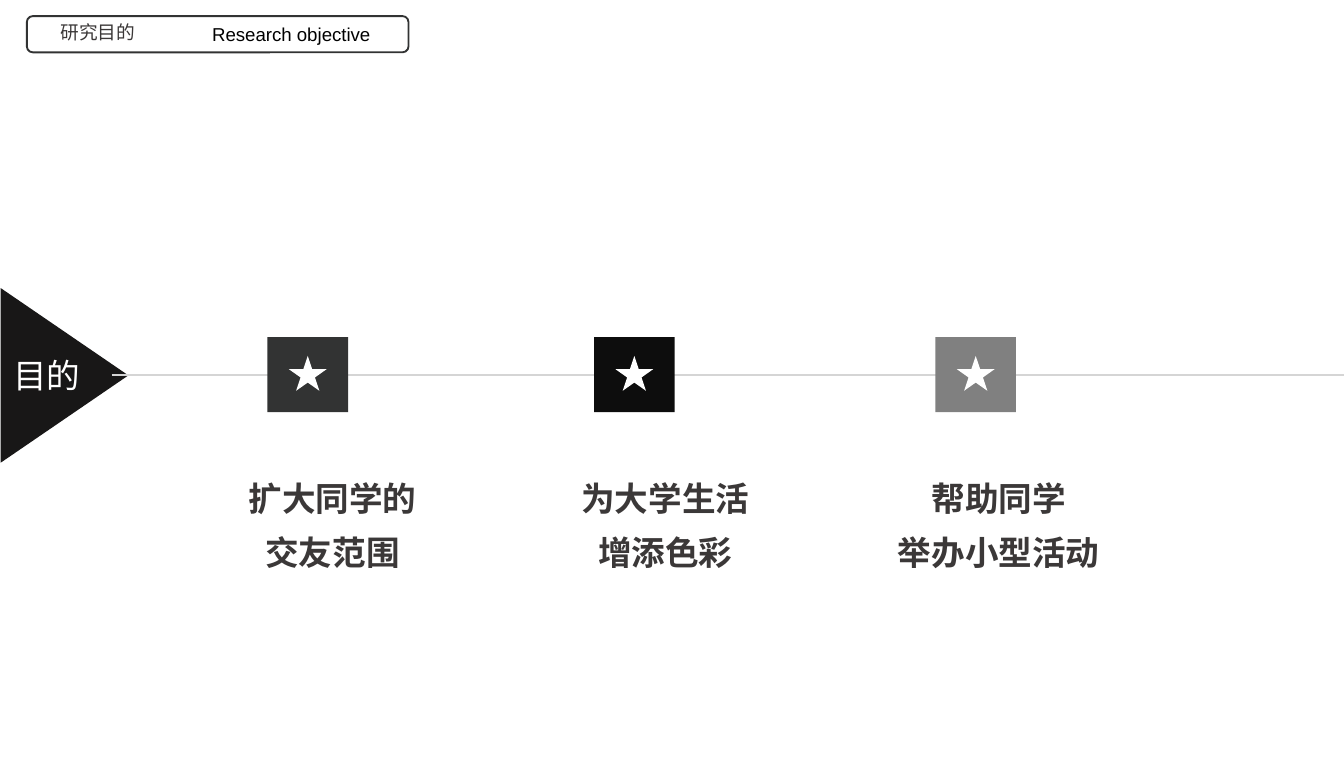
from lxml import etree
from pptx import Presentation
from pptx.dml.color import RGBColor
from pptx.enum.shapes import MSO_CONNECTOR, MSO_SHAPE
from pptx.enum.text import MSO_ANCHOR, PP_ALIGN
from pptx.oxml.ns import qn
from pptx.util import Inches, Pt

STRAIGHT = MSO_CONNECTOR.STRAIGHT
TRIANGLE = MSO_SHAPE.ISOSCELES_TRIANGLE
RECTANGLE = MSO_SHAPE.RECTANGLE
ROUNDED = MSO_SHAPE.ROUNDED_RECTANGLE
STAR = MSO_SHAPE.STAR_5_POINT
CENTER = PP_ALIGN.CENTER
LEFT = PP_ALIGN.LEFT
BOTTOM = MSO_ANCHOR.BOTTOM

BLACK = RGBColor(0x00, 0x00, 0x00)
NEAR_BLACK = RGBColor(0x0D, 0x0D, 0x0D)
ARROW_BLACK = RGBColor(0x18, 0x17, 0x17)
CHARCOAL = RGBColor(0x32, 0x33, 0x33)
TEXT_GRAY = RGBColor(0x3B, 0x38, 0x38)
GRAY = RGBColor(0x80, 0x80, 0x80)
LINE_GRAY = RGBColor(0xD5, 0xD5, 0xD5)
WHITE = RGBColor(0xFF, 0xFF, 0xFF)
CJK_FONT = "Noto Sans CJK SC"

presentation = Presentation()
presentation.slide_width = Inches(10)
presentation.slide_height = Inches(5.71)
slide = presentation.slides.add_slide(presentation.slide_layouts[6])


def add_filled_shape(kind, left, top, width, height, color):
    shape = slide.shapes.add_shape(
        kind, Inches(left), Inches(top), Inches(width), Inches(height))
    shape.shadow.inherit = False
    shape.fill.solid()
    shape.fill.fore_color.rgb = color
    shape.line.fill.background()
    return shape


def add_text(text, left, top, width, height, size, color,
             font=CJK_FONT, bold=False, align=LEFT):
    """Add a text box whose font also covers East Asian characters."""
    box = slide.shapes.add_textbox(
        Inches(left), Inches(top), Inches(width), Inches(height))
    text_frame = box.text_frame
    text_frame.word_wrap = False
    text_frame.text = text
    for paragraph in text_frame.paragraphs:
        paragraph.alignment = align
        for run in paragraph.runs:
            run.font.size = Pt(size)
            run.font.bold = bold
            run.font.color.rgb = color
            run.font.name = font
            east_asian = etree.SubElement(run.font._element, qn("a:ea"))
            east_asian.set("typeface", font)
    return text_frame


# Timeline
arrow = add_filled_shape(TRIANGLE, -0.17, 2.32, 1.3, 0.95, ARROW_BLACK)
arrow.rotation = 90
timeline = slide.shapes.add_connector(
    STRAIGHT, Inches(0.83), Inches(2.79), Inches(10), Inches(2.79))
timeline.line.color.rgb = LINE_GRAY
timeline.line.width = Pt(1)
etree.SubElement(timeline._element.spPr, qn("a:effectLst"))

# Objectives: marker left, marker color, label left, label width, label
objectives = [
    (1.99, CHARCOAL, 1.66, 1.63, "扩大同学的\n交友范围"),
    (4.42, NEAR_BLACK, 3.92, 2.06, "为大学生活\n增添色彩"),
    (6.96, GRAY, 6.59, 1.68, "帮助同学\n举办小型活动"),
]
for marker_left, color, label_left, label_width, label in objectives:
    add_filled_shape(RECTANGLE, marker_left, 2.51, 0.6, 0.56, color)
    add_filled_shape(STAR, marker_left + 0.16, 2.65, 0.28, 0.26, WHITE)
    text_frame = add_text(label, label_left, 3.5, label_width, 0.77, 18,
                          TEXT_GRAY, bold=True, align=CENTER)
    text_frame.word_wrap = True
    text_frame.margin_left = text_frame.margin_right = 0
    text_frame.margin_top = text_frame.margin_bottom = 0
    for paragraph in text_frame.paragraphs:
        paragraph.line_spacing = 1.2
    text_frame.paragraphs[1].space_before = Pt(3)

# Heading
heading = add_text("研究目的", 0.06, 0.19, 1.42, 0.13, 10, TEXT_GRAY)
heading.vertical_anchor = BOTTOM
heading.margin_left = Inches(0.39)
heading.margin_right = heading.margin_top = heading.margin_bottom = 0
frame = add_filled_shape(ROUNDED, 0.2, 0.12, 2.84, 0.27, WHITE)
frame.fill.background()
frame.line.color.rgb = CHARCOAL
frame.line.width = Pt(1)
add_text("Research objective", 1.48, 0.12, 1.38, 0.27, 10, BLACK, font="Arial")

add_text("目的", 0, 2.59, 0.7, 0.4, 18, WHITE, font="Calibri")

presentation.save("out.pptx")
